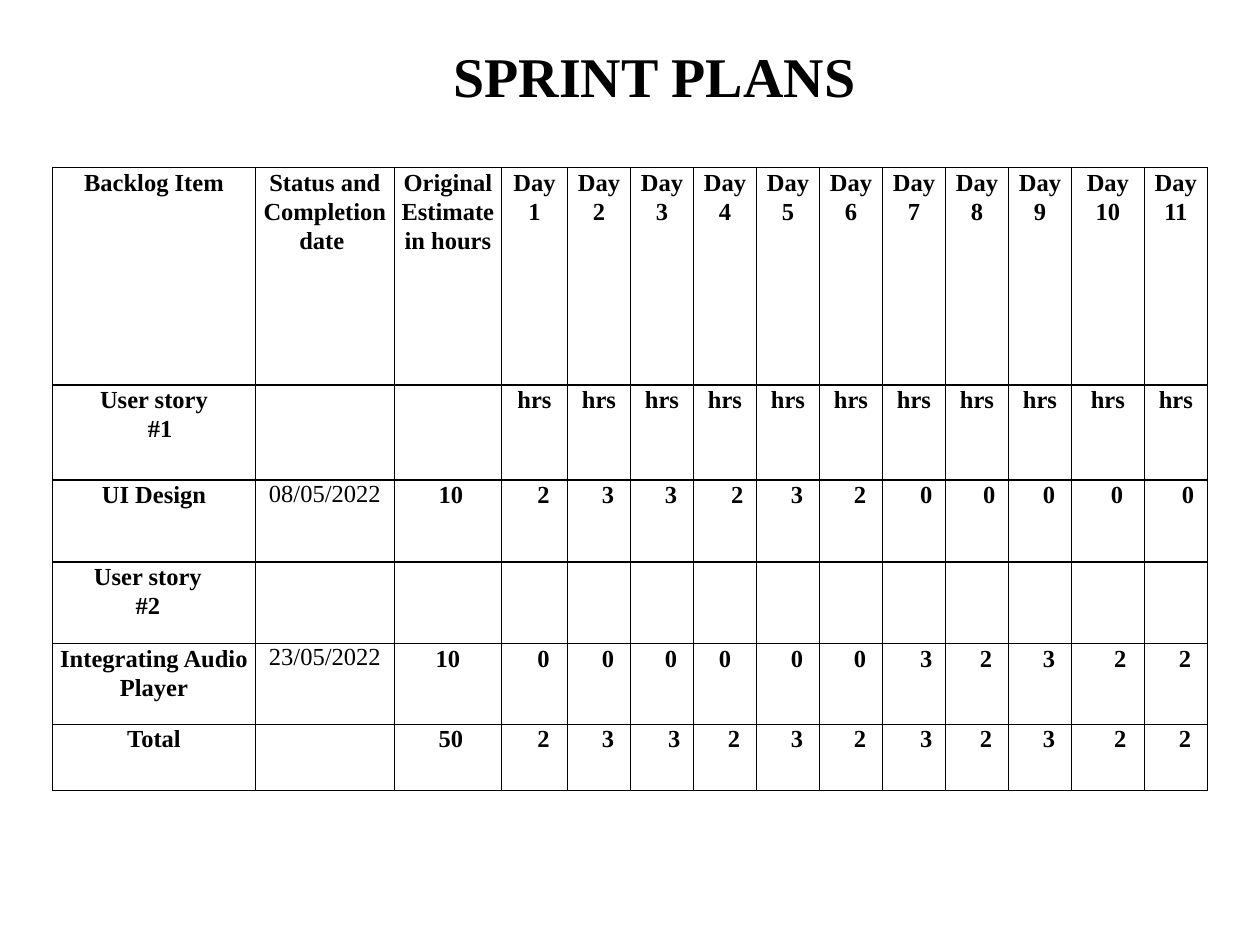
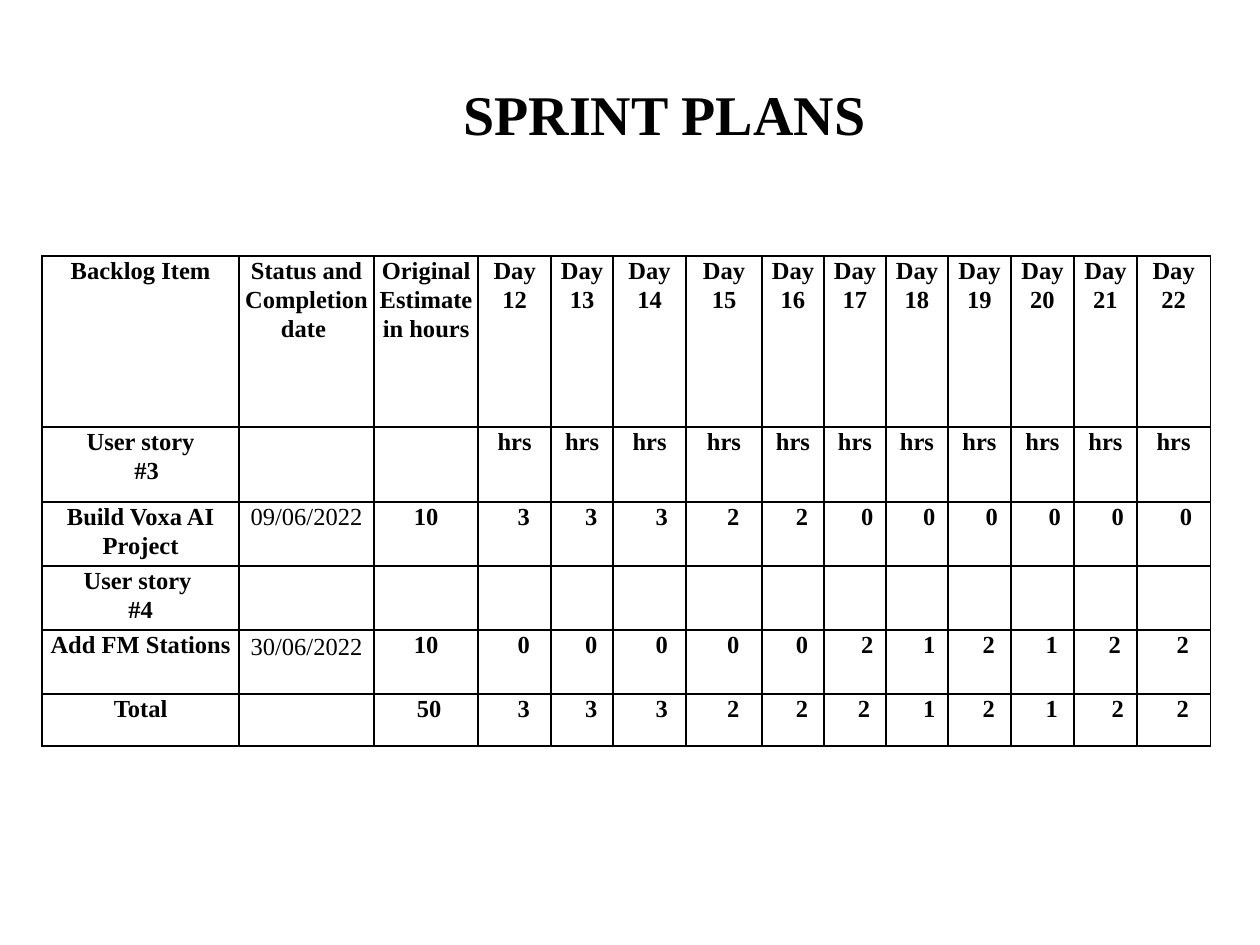
from dataclasses import dataclass
from typing import NamedTuple

from lxml import etree
from pptx import Presentation
from pptx import util as u
from pptx.dml.color import RGBColor
from pptx.enum import text
from pptx.oxml import ns

BLACK = RGBColor(0, 0, 0)
FONT = "Times New Roman"
TITLE = "SPRINT PLANS"
TITLE_SIZE = (8.69, 1.63)
HEADINGS = ("Backlog Item", "Status and Completion date ", "Original Estimate in hours")
DAY_COUNT = 11
CELL_INSET = u.Cm(0.1)
INDENT_STEP = u.Pt(3.5)
LINE_SPACING = 1.07


class Line(NamedTuple):
    """A paragraph; left and right count indent steps."""
    text: str
    left: int = 0
    right: int = 0
    bold: bool = True
    spacing: float = LINE_SPACING


@dataclass(frozen=True)
class BacklogRow:
    """A table row; indents holds one digit of indent steps per day."""
    item: tuple[Line, ...]
    date: Line | None = None
    estimate: Line | None = None
    hours: tuple[str, ...] = ()
    indents: str = "0" * DAY_COUNT

    def cells(self) -> list[tuple[Line, ...]]:
        days = [(Line(hour, int(step)),) for hour, step in zip(self.hours, self.indents)]
        lead = [self.item, *((line,) if line else () for line in (self.date, self.estimate))]
        return lead + (days or [()] * DAY_COUNT)


@dataclass(frozen=True)
class SprintPlan:
    title_at: tuple[float, float]
    table_at: tuple[float, float]
    first_day: int
    columns: tuple[float, ...]
    row_heights: tuple[float, ...]
    rows: tuple[BacklogRow, ...]

    def header(self) -> list[tuple[Line, ...]]:
        days = (f"Day {self.first_day + i}" for i in range(DAY_COUNT))
        return [(Line(name),) for name in (*HEADINGS, *days)]


HRS = ("hrs",) * DAY_COUNT

PLANS = (
    SprintPlan(
        title_at=(8.89, 0.71),
        table_at=(1.06, 3.38),
        first_day=1,
        columns=(4.09, 2.8, 2.16, 1.33, *[1.27] * 8, 1.47, 1.27),
        row_heights=(4.38, 1.92, 1.65, 1.64, 1.63, 1.34),
        rows=(
            BacklogRow((Line("User story"), Line("#1", 2)), hours=HRS),
            BacklogRow((Line("UI Design"),), Line("08/05/2022", bold=False, spacing=1),
                       Line("10", 1), tuple("23323200000"), "33343344334"),
            BacklogRow((Line("User story", right=2), Line("#2"))),
            BacklogRow((Line("Integrating Audio Player"),),
                       Line("23/05/2022", bold=False, spacing=1),
                       Line("10"), tuple("00000032322"), "33303343343"),
            BacklogRow((Line("Total"),), None, Line("50", 1),
                       tuple("23323232322"), "33433343343"),
        ),
    ),
    SprintPlan(
        title_at=(9.09, 1.47),
        table_at=(0.85, 5.16),
        first_day=12,
        columns=(3.97, 2.72, 2.1, 1.47, 1.25, 1.47, 1.53, *[1.25] * 3, *[1.27] * 3, 1.48),
        row_heights=(3.45, 1.51, 1.29, 1.29, 1.29, 1.05),
        rows=(
            BacklogRow((Line("User story"), Line("#3", 2)), hours=HRS),
            BacklogRow((Line("Build Voxa AI Project"),), Line("09/06/2022", bold=False),
                       Line("10"), tuple("33322000000"), "33433444444"),
            BacklogRow((Line("User story", right=1), Line("#4", 1))),
            BacklogRow((Line("Add FM Stations"),),
                       Line("30/06/2022", bold=False, spacing=1.15),
                       Line("10"), tuple("00000212122"), "33433443333"),
            BacklogRow((Line("Total"),), None, Line("50", 1),
                       tuple("33322212122"), "33433343343"),
        ),
    ),
)


def write(p, words: str, *, size: float = 14, bold: bool = True, align=None,
          spacing: float | None = None, left: int = 0, right: int = 0) -> None:
    p.alignment = align
    p.line_spacing = spacing
    pPr = p._p.get_or_add_pPr()
    for name, steps in (("marL", left), ("marR", right)):
        if steps:
            pPr.set(name, str(steps * INDENT_STEP))
    r = p.add_run()
    r.text = words
    r.font.name, r.font.size, r.font.bold = FONT, u.Pt(size), bold
    r.font.color.rgb = BLACK


def add_borders(cell) -> None:
    tcPr = cell._tc.get_or_add_tcPr()
    for side in ("lnL", "lnR", "lnT", "lnB"):
        ln = etree.SubElement(tcPr, ns.qn(f"a:{side}"), w=str(u.Pt(1)))
        fill = etree.SubElement(ln, ns.qn("a:solidFill"))
        etree.SubElement(fill, ns.qn("a:srgbClr"), val=str(BLACK))


def fill_cell(cell, lines: tuple[Line, ...]) -> None:
    cell.margin_left = cell.margin_right = CELL_INSET
    cell.margin_top = cell.margin_bottom = 0
    add_borders(cell)
    cell.fill.background()
    tf = cell.text_frame
    for i, line in enumerate(lines):
        p = tf.add_paragraph() if i else tf.paragraphs[0]
        write(p, line.text, bold=line.bold, align=text.PP_ALIGN.CENTER,
              spacing=line.spacing, left=line.left, right=line.right)


def add_title(s, at: tuple[float, float]) -> None:
    tf = s.shapes.add_textbox(*map(u.Cm, at + TITLE_SIZE)).text_frame
    tf.word_wrap = False
    tf.auto_size = text.MSO_AUTO_SIZE.SHAPE_TO_FIT_TEXT
    write(tf.paragraphs[0], TITLE, size=32)


def add_plan_table(s, plan: SprintPlan) -> None:
    grid = [plan.header(), *(row.cells() for row in plan.rows)]
    size = (sum(plan.columns), sum(plan.row_heights))
    table = s.shapes.add_table(len(grid), len(plan.columns),
                               *map(u.Cm, plan.table_at + size)).table
    table.first_row = table.horz_banding = False
    for column, width in zip(table.columns, plan.columns):
        column.width = u.Cm(width)
    for row, height, contents in zip(table.rows, plan.row_heights, grid):
        row.height = u.Cm(height)
        for cell, lines in zip(row.cells, contents):
            fill_cell(cell, lines)


def main() -> None:
    prs = Presentation()
    prs.slide_width, prs.slide_height = u.Cm(25.4), u.Cm(19.05)
    for plan in PLANS:
        s = prs.slides.add_slide(prs.slide_layouts[6])
        add_title(s, plan.title_at)
        add_plan_table(s, plan)
    prs.save("out.pptx")


if __name__ == "__main__":
    main()
